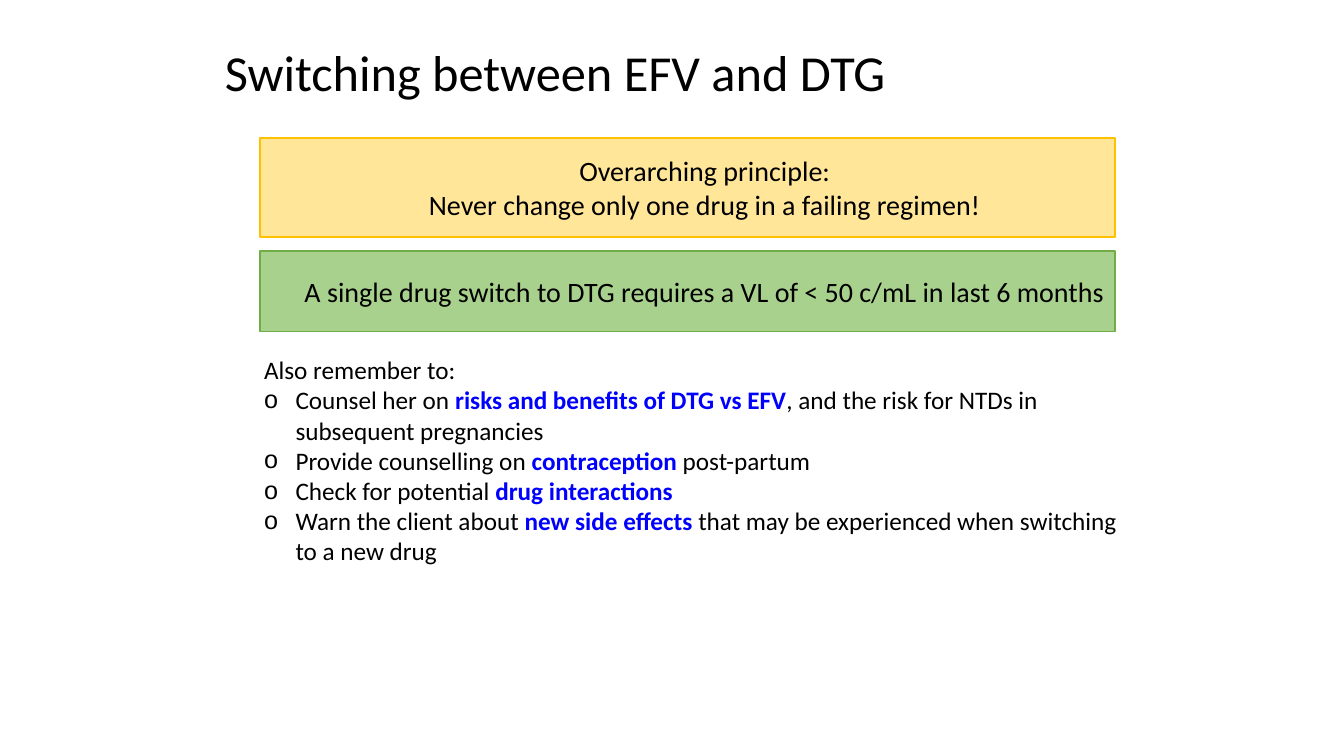
"""Build the slide on switching between EFV and DTG."""
from lxml import etree
from pptx import Presentation
from pptx.dml.color import RGBColor
from pptx.enum.shapes import MSO_SHAPE
from pptx.enum.text import MSO_ANCHOR, MSO_AUTO_SIZE, PP_ALIGN
from pptx.oxml.ns import qn
from pptx.util import Pt

RECTANGLE = MSO_SHAPE.RECTANGLE
MIDDLE, TOP = MSO_ANCHOR.MIDDLE, MSO_ANCHOR.TOP
LEFT, CENTER = PP_ALIGN.LEFT, PP_ALIGN.CENTER
NO_AUTOFIT = MSO_AUTO_SIZE.NONE

THEME = {
    "font": "Calibri",
    "title": Pt(36), "banner": Pt(20), "body": Pt(18),
    "text": RGBColor.from_string("000000"),
    "highlight": RGBColor.from_string("0000FF"),
    "yellow": RGBColor.from_string("FFE699"),
    "yellow line": RGBColor.from_string("FFC000"),
    "green": RGBColor.from_string("A9D18E"),
    "green line": RGBColor.from_string("70AD47"),
}


def place(shape, left, top, width, height):
    shape.left, shape.top = Pt(left), Pt(top)
    shape.width, shape.height = Pt(width), Pt(height)


def style(para, size, align):
    para.alignment = align
    para.space_before = Pt(0)
    para.font.name = THEME["font"]
    para.font.size = THEME[size]
    para.font.color.rgb = THEME["text"]


deck = Presentation()
deck.slide_width, deck.slide_height = Pt(960), Pt(540)
page = deck.slides.add_slide(deck.slide_layouts[1])

title = page.shapes.title
place(title, 153.4, 18.7, 501.1, 70.6)
title.text_frame.text = "Switching between EFV and DTG"
title.text_frame.auto_size = NO_AUTOFIT
title.text_frame.vertical_anchor = MIDDLE
title.text_frame.paragraphs[0].line_spacing = 0.9
style(title.text_frame.paragraphs[0], "title", LEFT)

banners = [
    ("yellow", 98.6, 70.6, CENTER,
     ["Overarching principle:", "Never change only one drug in a failing regimen!"]),
    ("green", 179.3, 57.6, LEFT,
     ["A single drug switch to DTG requires a VL of < 50 c/mL in last 6 months"]),
]
for color, top, height, align, lines in banners:
    banner = page.shapes.add_shape(RECTANGLE, Pt(185.8), Pt(top), Pt(610.6), Pt(height))
    banner.shadow.inherit = False
    banner.fill.solid()
    banner.fill.fore_color.rgb = THEME[color]
    banner.line.color.rgb = THEME[color + " line"]
    banner.line.width = Pt(1)
    frame = banner.text_frame
    frame.word_wrap = True
    frame.vertical_anchor = MIDDLE
    frame.margin_left = Pt(31.7)
    frame.text = "\n".join(lines)
    for para in frame.paragraphs:
        style(para, "banner", align)

reminders = [
    ("Counsel her on ", "risks and benefits of DTG vs EFV",
     ", and the risk for NTDs in subsequent pregnancies"),
    ("Provide counselling on ", "contraception", " post-partum"),
    ("Check for potential ", "drug interactions", ""),
    ("Warn the client about ", "new side effects ",
     "that may be experienced when switching to a new drug"),
]
body = page.placeholders[1]
place(body, 181.4, 249.5, 630, 181.8)
frame = body.text_frame
frame.auto_size = NO_AUTOFIT
frame.vertical_anchor = TOP
frame.text = "Also remember to:"
heading = frame.paragraphs[0]
properties = heading._p.get_or_add_pPr()
properties.set("marL", "0")
properties.set("indent", "0")
etree.SubElement(properties, qn("a:buNone"))
style(heading, "body", LEFT)

for before, key, after in reminders:
    para = frame.add_paragraph()
    properties = para._p.get_or_add_pPr()
    properties.set("marL", str(Pt(22.5)))
    properties.set("indent", str(Pt(-22.5)))
    etree.SubElement(properties, qn("a:buChar")).set("char", "o")
    style(para, "body", LEFT)
    for text in filter(None, (before, key, after)):
        span = para.add_run()
        span.text = text
        if text == key:
            span.font.bold = True
            span.font.color.rgb = THEME["highlight"]

deck.save("out.pptx")
